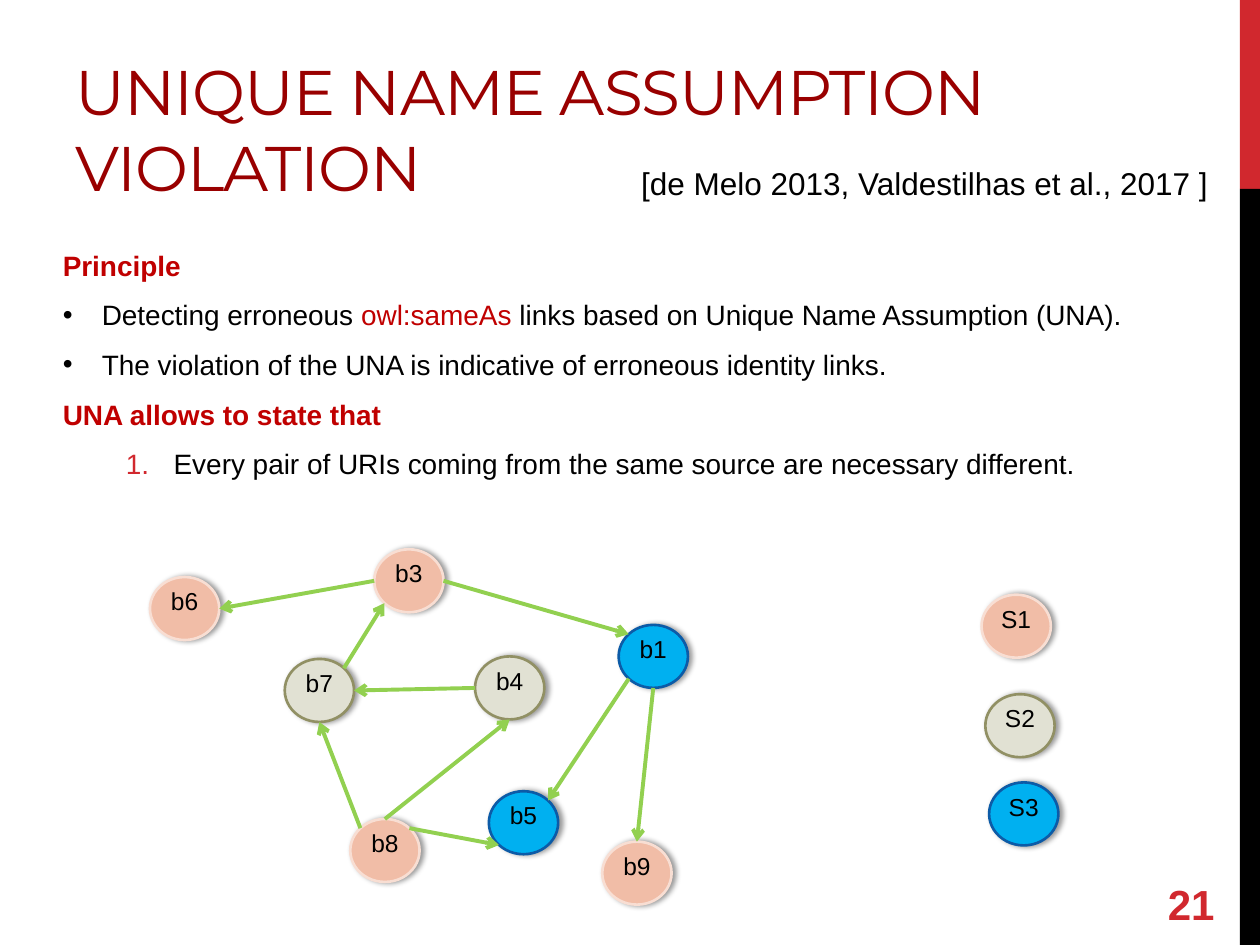
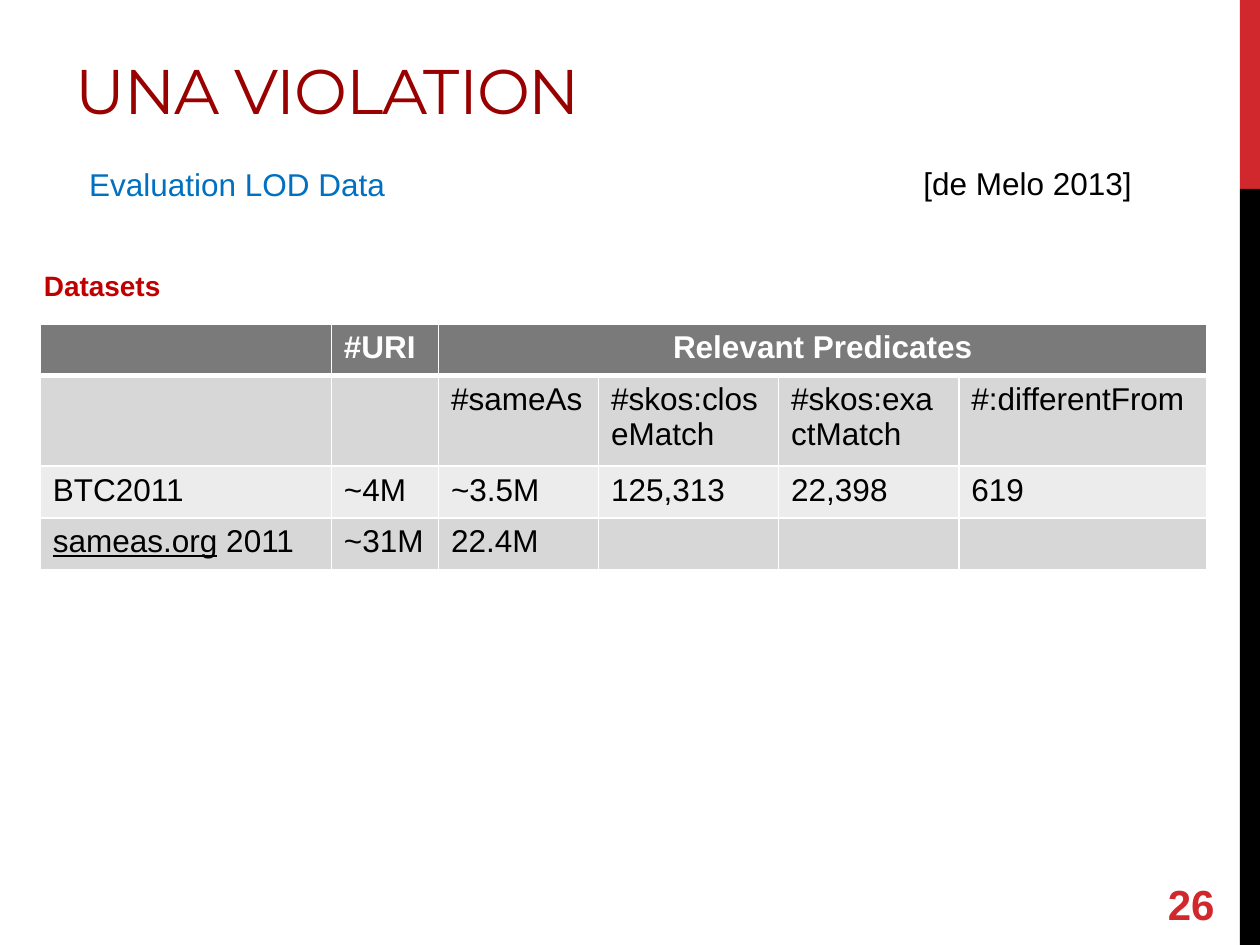
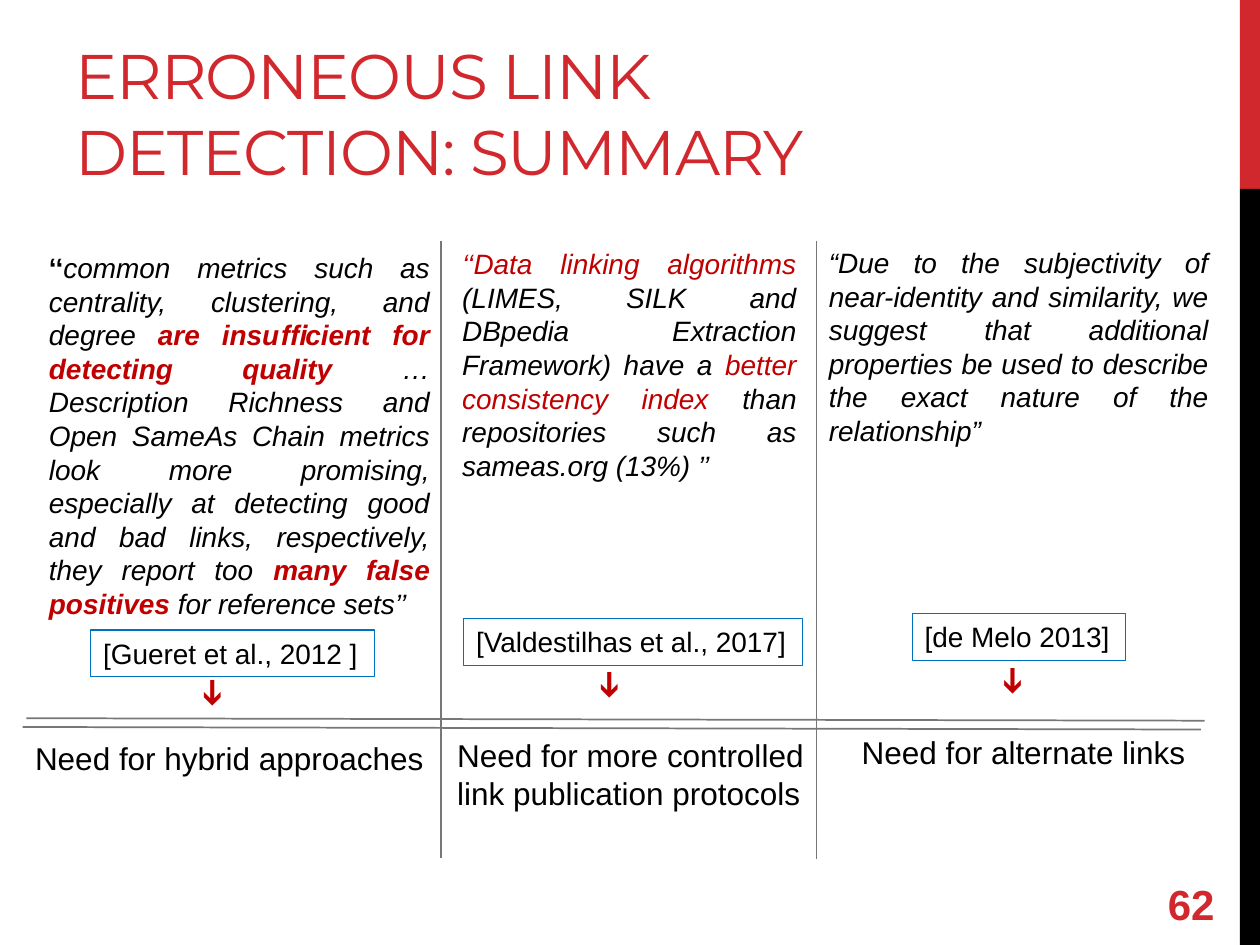
"""Build three slides on erroneous identity links and the unique name assumption."""
from math import cos, pi, sin

from lxml.etree import SubElement
from pptx import Presentation
from pptx.dml.color import RGBColor
from pptx.enum.shapes import MSO_CONNECTOR as Connector, MSO_SHAPE as Preset
from pptx.enum.text import MSO_ANCHOR as Anchor, MSO_AUTO_SIZE as AutoSize, PP_ALIGN as Align
from pptx.oxml.ns import qn
from pptx.util import Inches, Pt

BLACK = RGBColor(0x00, 0x00, 0x00)
WHITE = RGBColor(0xFF, 0xFF, 0xFF)
RED = RGBColor(0xD1, 0x28, 0x2E)
DARK_RED = RGBColor(0x99, 0x00, 0x00)
ACCENT = RGBColor(0xC0, 0x00, 0x00)
BLUE = RGBColor(0x00, 0x70, 0xC0)
GREEN = RGBColor(0x92, 0xD0, 0x50)
RULE = RGBColor(0x77, 0x77, 0x77)
HEADER = RGBColor(0x7A, 0x7A, 0x7A)
BANDS = RGBColor(0xD7, 0xD7, 0xD7), RGBColor(0xEC, 0xEC, 0xEC)
SOURCES = {
    "S1": (RGBColor(0xF1, 0xBD, 0xA7), RGBColor(0xF8, 0xDE, 0xD3)),
    "S2": (RGBColor(0xE1, 0xE1, 0xD3), RGBColor(0x91, 0x90, 0x64)),
    "S3": (RGBColor(0x00, 0xB0, 0xF0), RGBColor(0x0C, 0x5B, 0xA7)),
}

WIDTH, HEIGHT = 10, 7.5
BAND_LEFT, BAND_SPLIT = 9.84, 1.5
BODY = {"before": 3.2, "after": 6}
LABEL = {"size": 18, "wrap": False}
HEADING = {"color": ACCENT, "bold": True}
PLAIN_RED = {"color": ACCENT}

PRINCIPLE = [
    [("Principle", HEADING)],
    ["Detecting erroneous ", ("owl:sameAs ", PLAIN_RED),
     "links based on Unique Name Assumption (UNA)."],
    ["The violation of the UNA is indicative of erroneous identity links."],
    [("UNA allows to state that", HEADING)],
    ["Every pair of URIs coming from the same source are necessary different."],
]
PRINCIPLE_BULLETS = [None, "•", "•", None, "1."]

NODE_WIDTH, NODE_HEIGHT = 0.55, 0.5
NODES = [
    ("b1", "S3", 4.91, 4.96), ("b8", "S1", 2.78, 6.5), ("b5", "S3", 3.88, 6.28),
    ("b9", "S1", 4.78, 6.68), ("b6", "S1", 1.19, 4.58), ("b7", "S2", 2.26, 5.23),
    ("b3", "S1", 2.97, 4.36), ("b4", "S2", 3.77, 5.21),
    ("S1", "S1", 7.79, 4.72), ("S2", "S2", 7.82, 5.51), ("S3", "S3", 7.85, 6.21),
]
SITES = ["top", "top left", "left", "bottom left", "bottom", "bottom right", "right", "top right"]
LINKS = [
    ("b3", "left", "b6", "right"), ("b7", "top right", "b3", "bottom left"),
    ("b4", "left", "b7", "right"), ("b8", "top left", "b7", "bottom"),
    ("b8", "top", "b4", "bottom"), ("b8", "top right", "b5", "bottom left"),
    ("b3", "right", "b1", "top left"), ("b1", "bottom left", "b5", "top right"),
    ("b1", "bottom", "b9", "top"),
]

COLUMN_WIDTHS = [2.31, 0.85, 1.27, 1.43, 1.43, 1.97]
ROW_HEIGHTS = [0.41, 0.72, 0.41, 0.41]
DATASETS = [
    ["", "#URI", "Relevant Predicates", "", "", ""],
    ["", "", "#sameAs", "#skos:closeMatch", "#skos:exactMatch", "#:differentFrom"],
    ["BTC2011", "~4M", "~3.5M", "125,313", "22,398", "619"],
    [[("sameas.org", {"underline": True}), " 2011"], "~31M", "22.4M", "", "", ""],
]

STRONG = {"color": ACCENT, "bold": True, "italic": True}
RED_ITALIC = {"color": ACCENT, "italic": True}
ITALIC = {"italic": True}
SUMMARY = [
    {"quote": [("‘‘", {"bold": True}),
               ("common metrics such as centrality, clustering, and degree ", ITALIC),
               ("are insuﬃcient for detecting quality ", STRONG),
               ("… Description Richness and Open SameAs Chain metrics look more promising, "
                "especially at detecting good and bad links, respectively, they report too ", ITALIC),
               ("many false positives ", STRONG), ("for reference sets’’", ITALIC)],
     "quote_at": (0.29, 1.94, 3.22, 3.12),
     "citation": "[Gueret et al., 2012 ]", "citation_at": (0.72, 5, 2.25, 0.37),
     "arrow_at": (1.51, 5.26),
     "need": ["Need for hybrid approaches"], "need_at": (0.18, 5.82, 3.43, 0.4)},
    {"quote": [("‘‘Data linking algorithms ", RED_ITALIC),
               ("(LIMES, SILK and DBpedia Extraction Framework) have a ", ITALIC),
               ("better consistency index ", RED_ITALIC),
               ("than repositories such as sameas.org (13%) ’’", ITALIC)],
     "quote_at": (3.57, 1.91, 2.85, 3.09),
     "citation": "[Valdestilhas et al., 2017]", "citation_at": (3.68, 4.91, 2.69, 0.37),
     "arrow_at": (4.66, 5.2),
     "need": ["Need for more controlled", "link publication protocols"],
     "need_at": (3.53, 5.79, 3.03, 0.71)},
    {"quote": [("“Due to the subjectivity of near-identity and similarity, we suggest that "
                "additional properties be used to describe the exact nature of the "
                "relationship”", ITALIC)],
     "quote_at": (6.48, 1.9, 3.21, 2.66),
     "citation": "[de Melo 2013]", "citation_at": (7.24, 4.87, 1.69, 0.37),
     "arrow_at": (7.86, 5.17),
     "need": ["Need for alternate links"], "need_at": (6.74, 5.77, 2.8, 0.4)},
]
DIVIDERS = [
    ((3.5, 1.91), (3.5, 6.81)), ((6.48, 1.91), (6.48, 6.82)),
    ((0.18, 5.77), (9.53, 5.79)), ((0.21, 5.7), (9.56, 5.72)),
]


def add_bullet(paragraph, bullet):
    """Give a paragraph a dot or a red number with a hanging indent."""
    properties = paragraph._p.get_or_add_pPr()
    left, hang = (0.31, 0.31) if bullet == "•" else (0.88, 0.38)
    properties.set("marL", str(Inches(left)))
    properties.set("indent", str(-Inches(hang)))
    if bullet == "•":
        SubElement(properties, qn("a:buFont"), typeface="Arial")
        SubElement(properties, qn("a:buChar"), char=bullet)
    else:
        color = SubElement(properties, qn("a:buClr"))
        SubElement(color, qn("a:srgbClr"), val=str(RED))
        SubElement(properties, qn("a:buAutoNum"), type="arabicPeriod")


def write(frame, paragraphs, size=16, color=BLACK, font="Arial", bold=False, align=Align.LEFT,
          before=0, after=0, bullets=(), tracking=None):
    """Fill a text frame with paragraphs, each a string or a list of runs."""
    for index, runs in enumerate(paragraphs):
        paragraph = frame.add_paragraph() if index else frame.paragraphs[0]
        if bullets and bullets[index]:
            add_bullet(paragraph, bullets[index])
        paragraph.alignment = align
        paragraph.line_spacing = 1.0
        paragraph.space_before = Pt(before if index else 0)
        paragraph.space_after = Pt(after)
        for item in [runs] if isinstance(runs, str) else runs:
            text, changes = (item, {}) if isinstance(item, str) else item
            run = paragraph.add_run()
            run.text = text
            run.font.name = font
            run.font.size = Pt(size)
            run.font.bold = changes.get("bold", bold)
            run.font.italic = changes.get("italic", False)
            run.font.underline = changes.get("underline", False)
            run.font.color.rgb = changes.get("color", color)
            if tracking:
                run._r.get_or_add_rPr().set("spc", str(tracking))


def add_text(slide, at, paragraphs, wrap=True, anchor=Anchor.TOP, line=None, **text_format):
    """Add a text box, outlined when a line colour is given."""
    shape = slide.shapes.add_textbox(*map(Inches, at))
    frame = shape.text_frame
    frame.word_wrap = wrap
    frame.auto_size = AutoSize.NONE if wrap else AutoSize.SHAPE_TO_FIT_TEXT
    frame.vertical_anchor = anchor
    if line:
        shape.line.color.rgb = line
        shape.line.width = Pt(0.75)
    write(frame, paragraphs, **text_format)
    return shape


def add_line(slide, start, end, color, width, arrow=False):
    """Draw a straight line, with an arrowhead at its end on request."""
    connector = slide.shapes.add_connector(Connector.STRAIGHT, *map(Inches, start + end))
    connector.line.color.rgb = color
    connector.line.width = Pt(width)
    if arrow:
        SubElement(connector.line._get_or_add_ln(), qn("a:tailEnd"), type="arrow")
    SubElement(connector._element.spPr, qn("a:effectLst"))


def add_bands(slide, layout):
    """Draw the side bands and move them to the shared layout."""
    bands = [(0, BAND_SPLIT, RED), (BAND_SPLIT, HEIGHT - BAND_SPLIT, BLACK)]
    for number, (top, height, color) in enumerate(bands, 100):
        at = BAND_LEFT, top, WIDTH - BAND_LEFT, height
        band = slide.shapes.add_shape(Preset.RECTANGLE, *map(Inches, at))
        band.shadow.inherit = False
        band.fill.solid()
        band.fill.fore_color.rgb = color
        band.line.fill.background()
        band.element.nvSpPr.cNvPr.set("id", str(number))
        layout.shapes.element.append(band.element)


def add_slide(presentation, title, number, color=DARK_RED, width=8.08, height=1.5, bottom=0.05):
    """Add a slide with its title and page number."""
    slide = presentation.slides.add_slide(presentation.slide_layouts[5])
    shape = slide.shapes.title
    shape.left, shape.top, shape.width, shape.height = map(Inches, (0.5, 0.17, width, height))
    frame = shape.text_frame
    frame.auto_size = AutoSize.NONE
    frame.word_wrap = True
    frame.vertical_anchor = Anchor.BOTTOM
    frame.margin_bottom = Inches(bottom)
    write(frame, [title], size=36, color=color, font="Montserrat", tracking=-60)
    add_text(slide, (9.17, 6.97, 0.83, 0.4), [number], size=24, color=RED, bold=True,
             anchor=Anchor.MIDDLE)
    return slide


def add_node(slide, name, source, left, top):
    """Draw a shadowed ellipse in the colours of its source."""
    at = left, top, NODE_WIDTH, NODE_HEIGHT
    node = slide.shapes.add_shape(Preset.OVAL, *map(Inches, at))
    fill, line = SOURCES[source]
    node.fill.solid()
    node.fill.fore_color.rgb = fill
    node.line.color.rgb = line
    node.line.width = Pt(1.5)
    node.shadow.inherit = False
    effects = node._element.spPr.find(qn("a:effectLst"))
    shadow = SubElement(effects, qn("a:outerShdw"), blurRad=str(Pt(3.1)), dist=str(Pt(1.8)),
                        dir="0", rotWithShape="0")
    color = SubElement(shadow, qn("a:srgbClr"), val=str(BLACK))
    SubElement(color, qn("a:alpha"), val="40000")
    frame = node.text_frame
    frame.margin_left = frame.margin_right = frame.margin_top = frame.margin_bottom = 0
    frame.vertical_anchor = Anchor.TOP
    write(frame, [name], size=14, align=Align.CENTER)


def site_point(left, top, site):
    """Return the point of a node's outline at a named site."""
    angle = SITES.index(site) * pi / 4
    return (left + NODE_WIDTH / 2 * (1 - sin(angle)), top + NODE_HEIGHT / 2 * (1 - cos(angle)))


def set_borders(cell, bottom):
    """Draw white borders round a cell."""
    properties = cell._tc.get_or_add_tcPr()
    for index, (side, width) in enumerate([("L", 1), ("R", 1), ("T", 1), ("B", bottom)]):
        border = SubElement(properties, qn(f"a:ln{side}"), w=str(Pt(width)))
        fill = SubElement(border, qn("a:solidFill"))
        SubElement(fill, qn("a:srgbClr"), val=str(WHITE))
        properties.insert(index, border)


def add_datasets(slide):
    """Add the table of data sets."""
    at = 0.32, 2.57, sum(COLUMN_WIDTHS), sum(ROW_HEIGHTS)
    table = slide.shapes.add_table(len(DATASETS), len(COLUMN_WIDTHS), *map(Inches, at)).table
    for column, width in zip(table.columns, COLUMN_WIDTHS):
        column.width = Inches(width)
    for row, height in zip(table.rows, ROW_HEIGHTS):
        row.height = Inches(height)
    for row_index, row in enumerate(DATASETS):
        header = row_index == 0
        for column_index, content in enumerate(row):
            cell = table.cell(row_index, column_index)
            cell.fill.solid()
            cell.fill.fore_color.rgb = HEADER if header else BANDS[(row_index - 1) % 2]
            set_borders(cell, 3 if header else 1)
            if content:
                centred = header and column_index == 2
                write(cell.text_frame, [content], size=18, color=WHITE if header else BLACK,
                      bold=header, align=Align.CENTER if centred else Align.LEFT)
    table.cell(0, 2).merge(table.cell(0, 5))


def build_violation(presentation):
    """Build the slide with the principle and the link graph."""
    slide = add_slide(presentation, "UNIQUE NAME ASSUMPTION VIOLATION", "21")
    add_bands(slide, slide.slide_layout)
    add_text(slide, (0.4, 1.92, 9.32, 2.33), PRINCIPLE, bullets=PRINCIPLE_BULLETS, **BODY)
    add_text(slide, (4.99, 1.25, 4.74, 0.4), ["[de Melo 2013, Valdestilhas et al., 2017 ]"], **LABEL)
    places = {}
    for name, source, left, top in NODES:
        add_node(slide, name, source, left, top)
        places[name] = left, top
    for origin, origin_site, target, target_site in LINKS:
        add_line(slide, site_point(*places[origin], origin_site),
                 site_point(*places[target], target_site), GREEN, 2.25, arrow=True)


def build_evaluation(presentation):
    """Build the slide with the data sets."""
    slide = add_slide(presentation, "UNA VIOLATION", "26", bottom=0.66)
    add_text(slide, (0.25, 2.08, 4.29, 0.4), ["Datasets"], **HEADING)
    add_text(slide, (7.23, 1.25, 1.94, 0.4), ["[de Melo 2013]"], **LABEL)
    add_text(slide, (0.61, 1.26, 2.57, 0.4), ["Evaluation LOD Data"], color=BLUE, **LABEL)
    add_datasets(slide)


def build_summary(presentation):
    """Build the slide with three quotes and the needs they show."""
    slide = add_slide(presentation, "ERRONEOUS LINK DETECTION: SUMMARY", "62", color=RED,
                      width=7.61, height=1.37)
    for column in SUMMARY:
        add_text(slide, column["quote_at"], [column["quote"]], align=Align.JUSTIFY, **BODY)
        add_text(slide, column["citation_at"], [column["citation"]], wrap=False, line=BLUE)
        add_text(slide, column["need_at"], column["need"], **LABEL)
        arrow = add_text(slide, column["arrow_at"] + (0.39, 0.44), ["➔"], size=20, color=ACCENT)
        arrow.rotation = 90
    for start, end in DIVIDERS:
        add_line(slide, start, end, RULE, 1)


def main():
    """Build and save the presentation."""
    presentation = Presentation()
    presentation.slide_width, presentation.slide_height = Inches(WIDTH), Inches(HEIGHT)
    build_violation(presentation)
    build_evaluation(presentation)
    build_summary(presentation)
    presentation.save("out.pptx")


if __name__ == "__main__":
    main()
